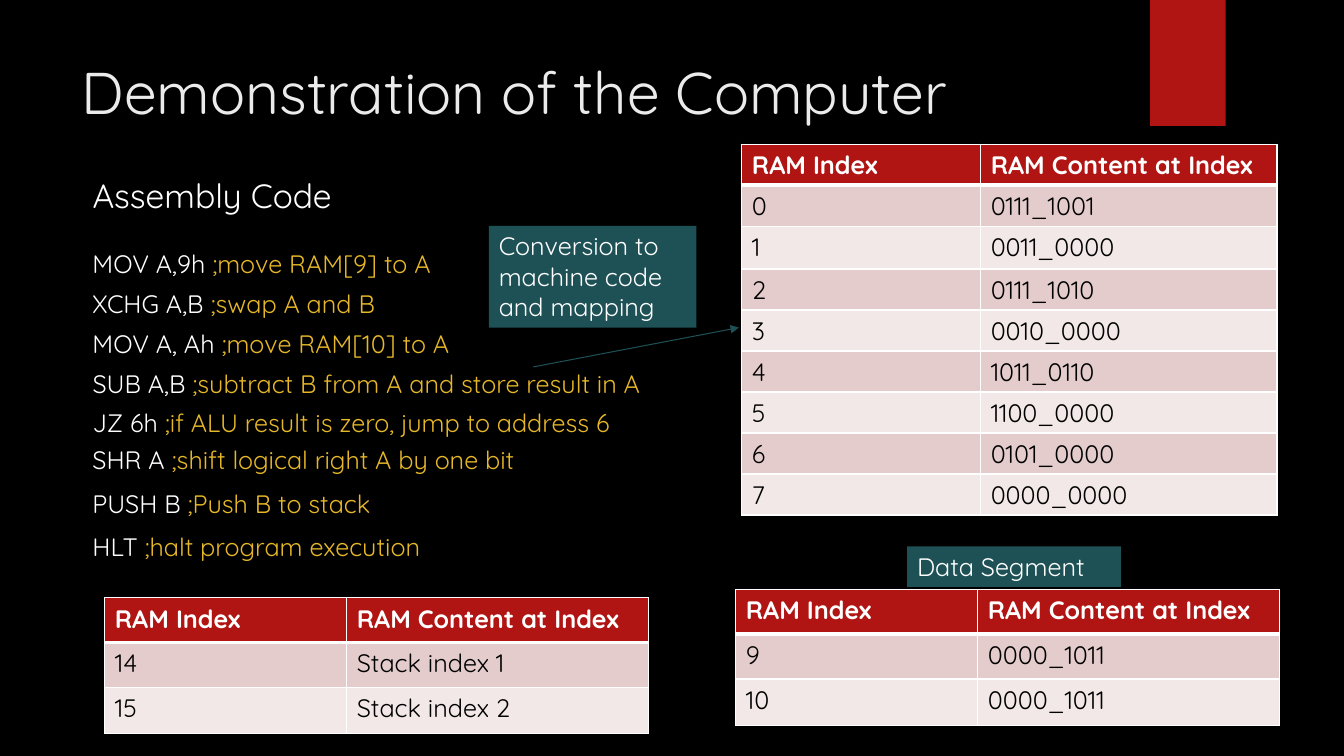
from lxml import etree
from pptx import Presentation
from pptx.dml.color import RGBColor
from pptx.enum.shapes import MSO_CONNECTOR as CONNECTOR, MSO_SHAPE as SHAPE
from pptx.enum.text import MSO_ANCHOR as ANCHOR, PP_ALIGN as ALIGN
from pptx.oxml import parse_xml
from pptx.oxml.ns import nsdecls, qn
from pptx.util import Pt

FONT = "Quicksand"
BLACK = RGBColor(0x00, 0x00, 0x00)
WHITE = RGBColor(0xFF, 0xFF, 0xFF)
TITLE_GRAY = RGBColor(0xEB, 0xEB, 0xEB)
RED = RGBColor(0xB0, 0x15, 0x13)
TEAL = RGBColor(0x1E, 0x51, 0x55)
GOLD = RGBColor(0xE6, 0xB7, 0x29)
BANDS = (RGBColor(0xE4, 0xCC, 0xCC), RGBColor(0xF2, 0xE8, 0xE7))

# Content: all lengths in points
TITLE = "Demonstration of the Computer"
SUBTITLE = "Assembly Code"
CODE_LEFT = 59
CODE = [  # instruction, comment, top, width
    ("MOV A,9h ", ";move RAM[9] to A", 173.5, 304.5),
    ("XCHG A,B ", ";swap A and B", 202.3, 304.5),
    ("MOV A, Ah ", ";move RAM[10] to A", 231.1, 304.5),
    ("SUB A,B ", ";subtract B from A and store result in A", 259.2, 438.5),
    ("JZ 6h ", ";if ALU result is zero, jump to address 6", 287.3, 422),
    ("SHR A ", ";shift logical right A by one bit", 313.9, 342.7),
    ("PUSH B ", ";Push B to stack", 344.9, 304.5),
    ("HLT ", ";halt program execution", 375.8, 342.7),
]
HEADER = ("RAM Index", "RAM Content at Index")
PROGRAM = ["0111_1001", "0011_0000", "0111_1010", "0010_0000",
           "1011_0110", "1100_0000", "0101_0000", "0000_0000"]
SMALL_COLUMNS, SMALL_ROWS = (172.8, 215.6), (31.9, 31.9, 33.2)
TABLES = [  # left, top, column widths, row heights, rows
    (529.9, 103, (170.6, 211.7), (29.3, 29.3, 30.6) + (29.3,) * 6,
     [(str(index), content) for index, content in enumerate(PROGRAM)]),
    (525.6, 421.2, SMALL_COLUMNS, SMALL_ROWS,
     [("9", "0000_1011"), ("10", "0000_1011")]),
    (74.9, 427, SMALL_COLUMNS, SMALL_ROWS,
     [("14", "Stack index 1"), ("15", "Stack index 2")]),
]
LABELS = [  # text, box
    ("Conversion to machine code and mapping", (349.2, 161.3, 148.3, 72.7)),
    ("Data Segment", (648, 390.2, 152.6, 29.1)),
]
ARROW = (380.9, 262.1, 527.8, 234)
RIBBON = (821.5, 0, 54, 90)


def write(frame, *runs, size=18, bold=False):
    """Fill a text frame with (text, colour) runs on one line."""
    frame.word_wrap = True
    frame.vertical_anchor = ANCHOR.TOP
    line = frame.paragraphs[0]
    line.alignment = ALIGN.LEFT
    for text, color in runs:
        run = line.add_run()
        run.text = text
        run.font.name, run.font.size, run.font.bold = FONT, Pt(size), bold
        run.font.color.rgb = color


def points(values):
    return [Pt(value) for value in values]


def add_block(slide, box, color):
    block = slide.shapes.add_shape(SHAPE.RECTANGLE, *points(box))
    block.shadow.inherit = False
    block.fill.solid()
    block.fill.fore_color.rgb = color
    block.line.fill.background()
    return block


def add_text(slide, box, *runs, size=18):
    write(slide.shapes.add_textbox(*points(box)).text_frame, *runs, size=size)


def set_borders(cell, bottom):
    """Draw white borders; they come before the fill in the cell properties."""
    widths = {"lnL": 1, "lnR": 1, "lnT": 1, "lnB": bottom}
    for place, (side, width) in enumerate(widths.items()):
        border = parse_xml(
            f'<a:{side} {nsdecls("a")} w="{Pt(width)}"><a:solidFill>'
            f'<a:srgbClr val="{WHITE}"/></a:solidFill></a:{side}>')
        cell._tc.get_or_add_tcPr().insert(place, border)


def add_ram_table(slide, left, top, columns, heights, rows):
    box = points((left, top, sum(columns), sum(heights)))
    table = slide.shapes.add_table(len(heights), len(columns), *box).table
    for column, width in zip(table.columns, columns):
        column.width = Pt(width)
    for row, height in zip(table.rows, heights):
        row.height = Pt(height)
    for r, texts in enumerate([HEADER] + rows):
        is_header = r == 0
        for c, text in enumerate(texts):
            cell = table.cell(r, c)
            cell.fill.solid()
            cell.fill.fore_color.rgb = RED if is_header else BANDS[(r - 1) % 2]
            set_borders(cell, bottom=3 if is_header else 1)
            write(cell.text_frame, (text, WHITE if is_header else BLACK),
                  bold=is_header)


def add_arrow(slide, ends):
    arrow = slide.shapes.add_connector(CONNECTOR.STRAIGHT, *points(ends))
    arrow.line.color.rgb = TEAL
    arrow.line.width = Pt(0.75)
    etree.SubElement(arrow.line._get_or_add_ln(), qn("a:tailEnd"), type="triangle")
    etree.SubElement(arrow._element.spPr, qn("a:effectLst"))


def main():
    deck = Presentation()
    deck.slide_width, deck.slide_height = Pt(960), Pt(540)
    slide = deck.slides.add_slide(deck.slide_layouts[5])
    slide.background.fill.solid()
    slide.background.fill.fore_color.rgb = BLACK

    # Ribbon and title
    add_block(slide, RIBBON, RED)
    title = slide.shapes.title
    title.left, title.top, title.width, title.height = points((51, 36, 741, 110))
    write(title.text_frame, (TITLE, TITLE_GRAY), size=42)

    # Assembly listing
    add_text(slide, (CODE_LEFT, 121.7, 506, 36), (SUBTITLE, WHITE), size=24)
    for instruction, comment, top, width in CODE:
        add_text(slide, (CODE_LEFT, top, width, 29),
                 (instruction, WHITE), (comment, GOLD))

    # Memory tables, arrow and labels
    for ram_table in TABLES:
        add_ram_table(slide, *ram_table)
    add_arrow(slide, ARROW)
    for text, box in LABELS:
        write(add_block(slide, box, TEAL).text_frame, (text, WHITE))

    deck.save("out.pptx")


if __name__ == "__main__":
    main()
